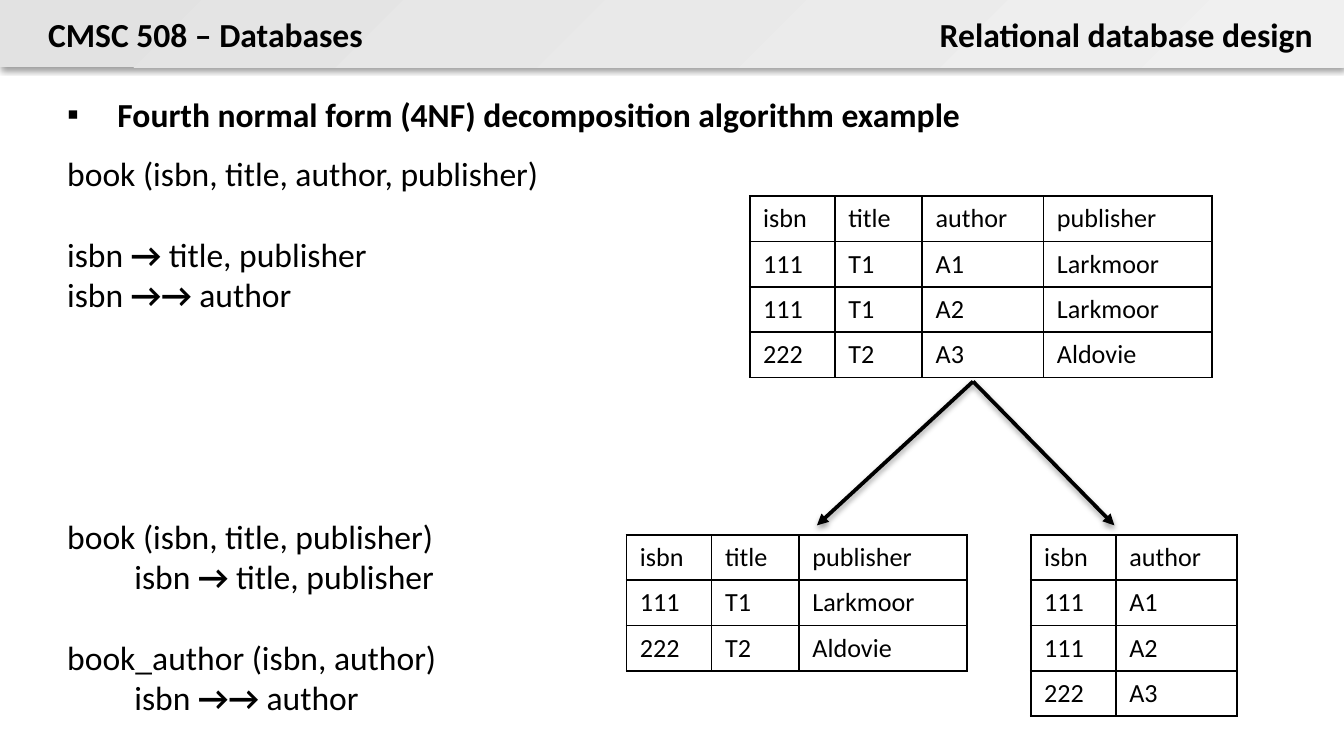
import pptx
import pptx.dml.color
import pptx.enum.dml
import pptx.enum.shapes
import pptx.enum.text
import pptx.oxml
import pptx.oxml.ns
import pptx.util
from lxml import etree
from pptx.util import Cm, Pt

COLORS = {"ink": "000000", "bar_start": "E2E2E2", "bar_end": "F0F0F0"}
FONT = "Calibri"
LINE = 21.6  # height of one text line in points
ROW_HEIGHT = 0.85
WIDTHS = {"isbn": 1.61, "title": 1.65, "author": 2.29, "publisher": 3.18}
BOOKS = [
    {"isbn": "111", "title": "T1", "author": "A1", "publisher": "Larkmoor"},
    {"isbn": "111", "title": "T1", "author": "A2", "publisher": "Larkmoor"},
    {"isbn": "222", "title": "T2", "author": "A3", "publisher": "Aldovie"},
]
# Text, left margin in cm, blank lines above
NOTES = [
    ("book (isbn, title, author, publisher)", 0, 0),
    ("isbn → title, publisher", 0, 1),
    ("isbn →→ author", 0, 0),
    ("book (isbn, title, publisher)", 0, 5),
    ("isbn → title, publisher", 1.27, 0),
    ("book_author (isbn, author)", 0, 1),
    ("isbn →→ author", 1.27, 0),
]


def rgb(name):
    return pptx.dml.color.RGBColor.from_string(COLORS[name])


def add_child(parent, tag, **attributes):
    return etree.SubElement(parent, pptx.oxml.ns.qn(tag), attributes)


def add_shadow(shape):
    effects = add_child(shape.element.spPr, "a:effectLst")
    shadow = add_child(effects, "a:outerShdw", blurRad="40000", dist="20000",
                       dir="5400000", rotWithShape="0")
    color = add_child(shadow, "a:srgbClr", val=COLORS["ink"])
    add_child(color, "a:alpha", val="38000")


def style_paragraph(para, size, bold=False):
    para.font.name = FONT
    para.font.size = Pt(size)
    para.font.bold = bold
    para.font.color.rgb = rgb("ink")


def set_indent(para, left, first=0, bullet=None):
    properties = para._p.get_or_add_pPr()
    properties.set("marL", str(Cm(left)))
    properties.set("indent", str(Cm(first)))
    if bullet:
        add_child(properties, "a:buChar", char=bullet)
    else:
        add_child(properties, "a:buNone")


def place(shape, left, top, width, height):
    shape.left, shape.top = Cm(left), Cm(top)
    shape.width, shape.height = Cm(width), Cm(height)


def add_bar(page):
    bar = page.shapes.add_shape(pptx.enum.shapes.MSO_SHAPE.RECTANGLE,
                                0, 0, Cm(25.4), Cm(1.27))
    bar.line.fill.background()
    bar.fill.gradient()
    bar.fill.gradient_angle = 315
    for stop, name in zip(bar.fill.gradient_stops, ("bar_start", "bar_end")):
        stop.color.rgb = rgb(name)
    add_shadow(bar)
    bar.element.getparent().insert(2, bar.element)  # behind the headings


def fill_heading(box, text, alignment):
    frame = box.text_frame
    frame.text = text
    frame.word_wrap = False
    frame.auto_size = pptx.enum.text.MSO_AUTO_SIZE.NONE
    frame.vertical_anchor = pptx.enum.text.MSO_ANCHOR.TOP
    para = frame.paragraphs[0]
    para.alignment = alignment
    style_paragraph(para, 18, bold=True)


def fill_body(box):
    place(box, 0, 1.27, 25.4, 13)
    frame = box.text_frame
    frame.auto_size = pptx.enum.text.MSO_AUTO_SIZE.NONE
    frame.margin_left = frame.margin_right = Cm(1.27)
    frame.margin_top, frame.margin_bottom = Cm(0.51), 0

    topic = frame.paragraphs[0]
    topic.text = "Fourth normal form (4NF) decomposition algorithm example"
    topic.space_before, topic.space_after = Pt(0), Pt(10)
    set_indent(topic, 0.95, -0.95, "▪")
    style_paragraph(topic, 18, bold=True)

    for text, left, gap in NOTES:
        para = frame.add_paragraph()
        para.space_before, para.space_after = Pt(gap * LINE), Pt(0)
        set_indent(para, left)
        style_paragraph(para, 18)
        # Arrows are bold, the words around them are not
        arrow = "→" * text.count("→")
        before, found, after = text.partition(arrow) if arrow else (text, "", "")
        for part in filter(None, (before, found, after)):
            span = para.add_run()
            span.text = part
            if part == arrow:
                span.font.bold = True


def add_borders(cell):
    properties = cell._tc.get_or_add_tcPr()
    for index, side in enumerate(("a:lnL", "a:lnR", "a:lnT", "a:lnB")):
        line = add_child(properties, side, w=str(Pt(1)))
        fill = add_child(line, "a:solidFill")
        add_child(fill, "a:srgbClr", val=COLORS["ink"])
        properties.insert(index, line)  # borders come before the fill


def add_relation(page, left, top, names):
    # Projection of the books on the named columns, without duplicates
    rows = list(dict.fromkeys(tuple(book[name] for name in names) for book in BOOKS))
    rows.insert(0, tuple(names))
    table = page.shapes.add_table(
        len(rows), len(names), Cm(left), Cm(top),
        Cm(sum(WIDTHS[name] for name in names)), Cm(ROW_HEIGHT * len(rows))).table
    table.first_row = table.horz_banding = False
    for column, name in zip(table.columns, names):
        column.width = Cm(WIDTHS[name])
    for row, values in zip(table.rows, rows):
        row.height = Cm(ROW_HEIGHT)
        for cell, value in zip(row.cells, values):
            cell.text = value
            cell.fill.background()
            style_paragraph(cell.text_frame.paragraphs[0], 14)
            add_borders(cell)


def add_arrow(page, start, end):
    arrow = page.shapes.add_connector(
        pptx.enum.shapes.MSO_CONNECTOR.STRAIGHT, *map(Cm, start + end))
    arrow.line.color.rgb = rgb("ink")
    arrow.line.width = Pt(2)
    add_child(arrow.line._get_or_add_ln(), "a:tailEnd", type="triangle")
    add_shadow(arrow)


def main():
    deck = pptx.Presentation()
    deck.slide_width, deck.slide_height = Cm(25.4), Cm(14.29)
    page = deck.slides.add_slide(deck.slide_layouts[1])
    title, body = page.placeholders

    # Header
    add_bar(page)
    course = page.shapes.add_textbox(0, 0, 0, 0)
    place(course, 0.66, 0.13, 6.53, 1.02)
    fill_heading(course, "CMSC 508 – Databases", pptx.enum.text.PP_ALIGN.LEFT)
    place(title, 17.45, 0.13, 7.62, 1.02)
    fill_heading(title, "Relational database design", pptx.enum.text.PP_ALIGN.RIGHT)

    # Dependencies and decomposition
    fill_body(body)

    # Relations before and after
    add_relation(page, 14.17, 3.71, ["isbn", "title", "author", "publisher"])
    add_relation(page, 11.84, 10.11, ["isbn", "title", "publisher"])
    add_relation(page, 19.48, 10.11, ["isbn", "author"])
    for target in (15.44, 21.06):
        add_arrow(page, (18.39, 7.21), (target, 9.93))

    deck.save("out.pptx")


if __name__ == "__main__":
    main()
